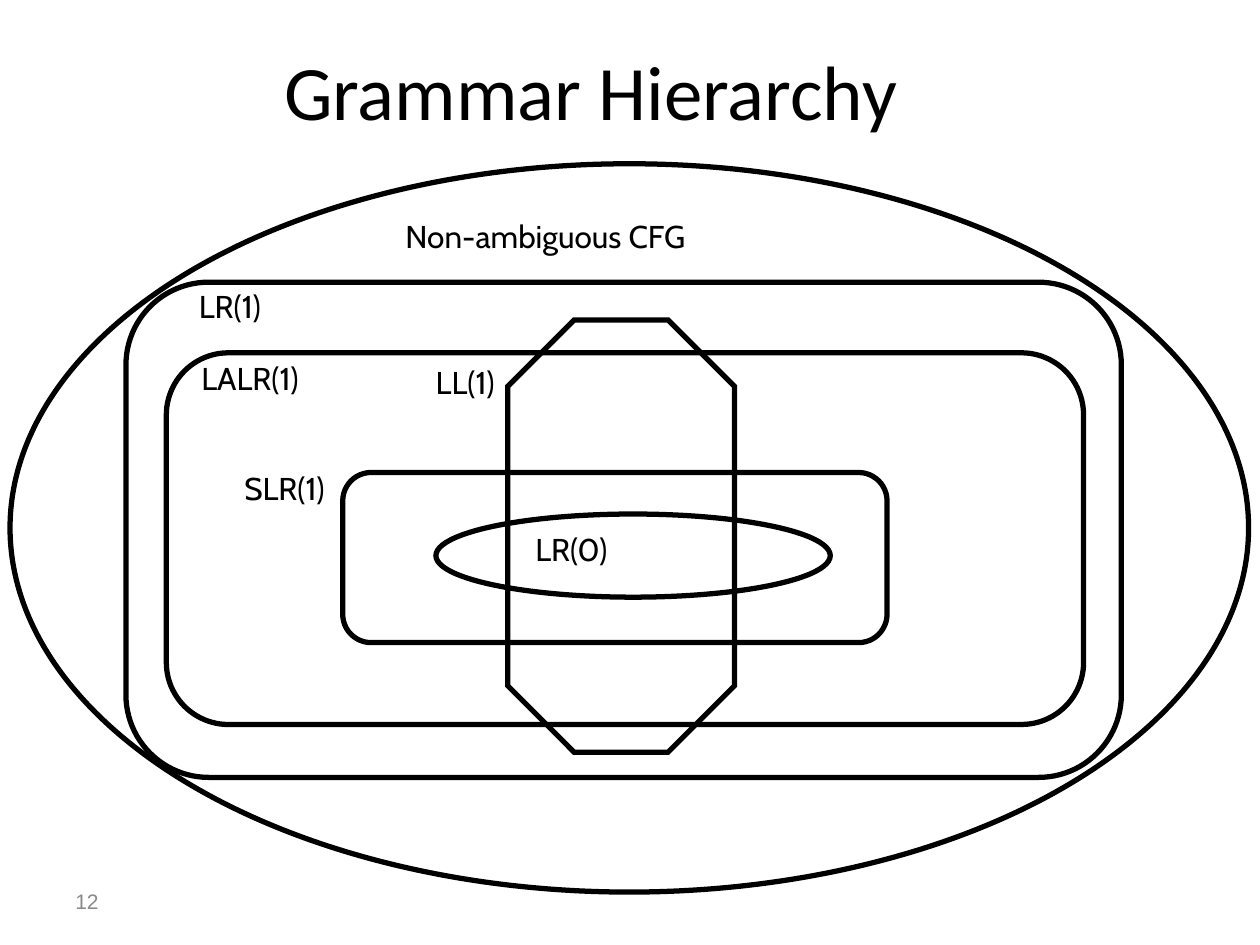
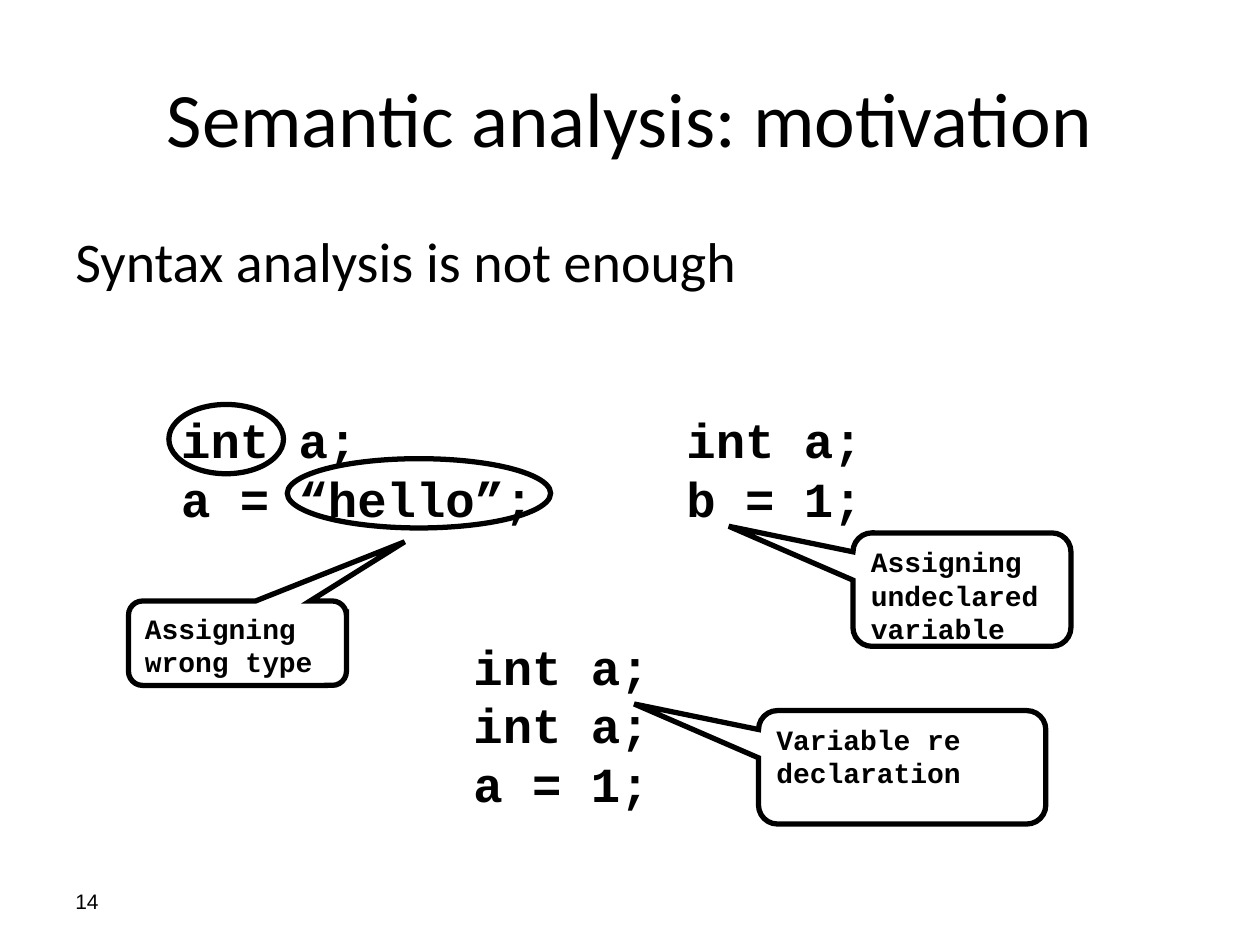
from lxml import etree
from pptx import Presentation
from pptx.dml.color import RGBColor
from pptx.enum.shapes import MSO_SHAPE as SHAPE
from pptx.enum.text import MSO_ANCHOR as ANCHOR, PP_ALIGN as ALIGN
from pptx.oxml.ns import qn
from pptx.util import Inches, Pt

BLACK = RGBColor(0x00, 0x00, 0x00)
GREY = RGBColor(0x89, 0x89, 0x89)
HEADING, LABEL, CODE, FOOTER = "Calibri", "Cabin", "Courier New", "Arial"
CORNER = 0.167


def write(box, text, size, font, color=BLACK, bold=False,
          align=ALIGN.LEFT, anchor=ANCHOR.TOP):
    """Fill a box with one paragraph, one run per line of text."""
    frame = box.text_frame
    frame.word_wrap = True
    frame.vertical_anchor = anchor
    para = frame.paragraphs[0]
    para.alignment = align
    for number, line in enumerate(text.split("\n")):
        if number:
            para.add_line_break()
        span = para.add_run()
        span.text = line
        span.font.size = Pt(size)
        span.font.name = font
        span.font.bold = bold
        span.font.color.rgb = color


def outline(page, kind, place, adjustments=()):
    """Draw an unfilled shape with a thick black line and sharp joins."""
    shape = page.shapes.add_shape(kind, *map(Inches, place))
    shape.shadow.inherit = False
    shape.fill.background()
    shape.line.color.rgb = BLACK
    shape.line.width = Pt(3)
    etree.SubElement(shape.line._get_or_add_ln(), qn("a:miter"), lim="800000")
    for index, value in enumerate(adjustments):
        shape.adjustments[index] = value
    return shape


deck = Presentation()
deck.slide_width, deck.slide_height = Inches(10), Inches(7.5)

# Shared title and slide number
pages = []
for title, title_place, number, number_color in [
    ("Grammar Hierarchy", (0.44, 0.17, 8.5, 1.08), "12", GREY),
    ("Semantic analysis: motivation", (0.5, 0.3, 9, 1.25), "14", BLACK),
]:
    page = deck.slides.add_slide(deck.slide_layouts[6])
    box = page.shapes.add_textbox(*map(Inches, title_place))
    write(box, title, 44, HEADING, align=ALIGN.CENTER, anchor=ANCHOR.MIDDLE)
    box = page.shapes.add_textbox(*map(Inches, (0.5, 6.95, 2.33, 0.4)))
    write(box, number, 12, FOOTER, number_color, anchor=ANCHOR.MIDDLE)
    pages.append(page)
hierarchy, motivation = pages

# Grammar classes, outermost first, each with its label
for kind, place, adjustments, label, left, top, width in [
    (SHAPE.OVAL, (0.08, 1.3, 9.83, 5.78), (), "Non-ambiguous CFG", 3.12, 1.67, 4.13),
    (SHAPE.ROUNDED_RECTANGLE, (1, 2.24, 7.9, 3.93), (CORNER,), "LR(1)", 1.48, 2.23, 3.18),
    (SHAPE.ROUNDED_RECTANGLE, (1.32, 2.8, 7.28, 2.95), (CORNER,), "LALR(1)", 1.5, 2.8, 3.18),
    (SHAPE.ROUNDED_RECTANGLE, (2.72, 3.75, 4.32, 1.35), (CORNER,), "SLR(1)", 1.84, 3.67, 3.18),
    (SHAPE.OCTAGON, (4.03, 2.54, 1.8, 3.43), (0.293,), "LL(1)", 3.36, 2.83, 3.18),
    (SHAPE.OVAL, (3.46, 4.08, 3.13, 0.66), (), "LR(0)", 4.15, 4.16, 1.03),
]:
    outline(hierarchy, kind, place, adjustments)
    box = hierarchy.shapes.add_textbox(*map(Inches, (left, top, width, 0.4)))
    write(box, label, 18, LABEL)

# Opening statement
box = motivation.shapes.add_textbox(*map(Inches, (0.5, 1.75, 9, 4.95)))
write(box, "Syntax analysis is not enough", 32, HEADING)

# Faulty code samples
for code, place in [
    ("int a;\na = “hello”;", (1.34, 3.2, 3.23, 1.04)),
    ("int a;\nb = 1;", (5.35, 3.2, 2.36, 1.04)),
    ("int a;\nint a;\na = 1;", (3.66, 5, 2.36, 1.5)),
]:
    box = motivation.shapes.add_textbox(*map(Inches, place))
    write(box, code, 28, CODE, bold=True)

# Rings around the mismatched type and value
for place in [(1.34, 3.21, 0.91, 0.55), (2.28, 3.64, 2.09, 0.55)]:
    outline(motivation, SHAPE.OVAL, place)

# Callouts naming each error, with the tip relative to the centre
for message, place, tip in [
    ("Assigning wrong type", (1.02, 4.77, 1.73, 0.67), (0.767, -1.201)),
    ("Assigning undeclared variable", (6.77, 4.23, 1.73, 0.9), (-1.07, -0.559)),
    ("Variable re declaration", (6.02, 5.64, 2.28, 0.9), (-0.933, -0.559)),
]:
    callout = outline(motivation, SHAPE.ROUNDED_RECTANGULAR_CALLOUT, place, (*tip, CORNER))
    write(callout, message, 16, CODE, bold=True)

deck.save("out.pptx")
